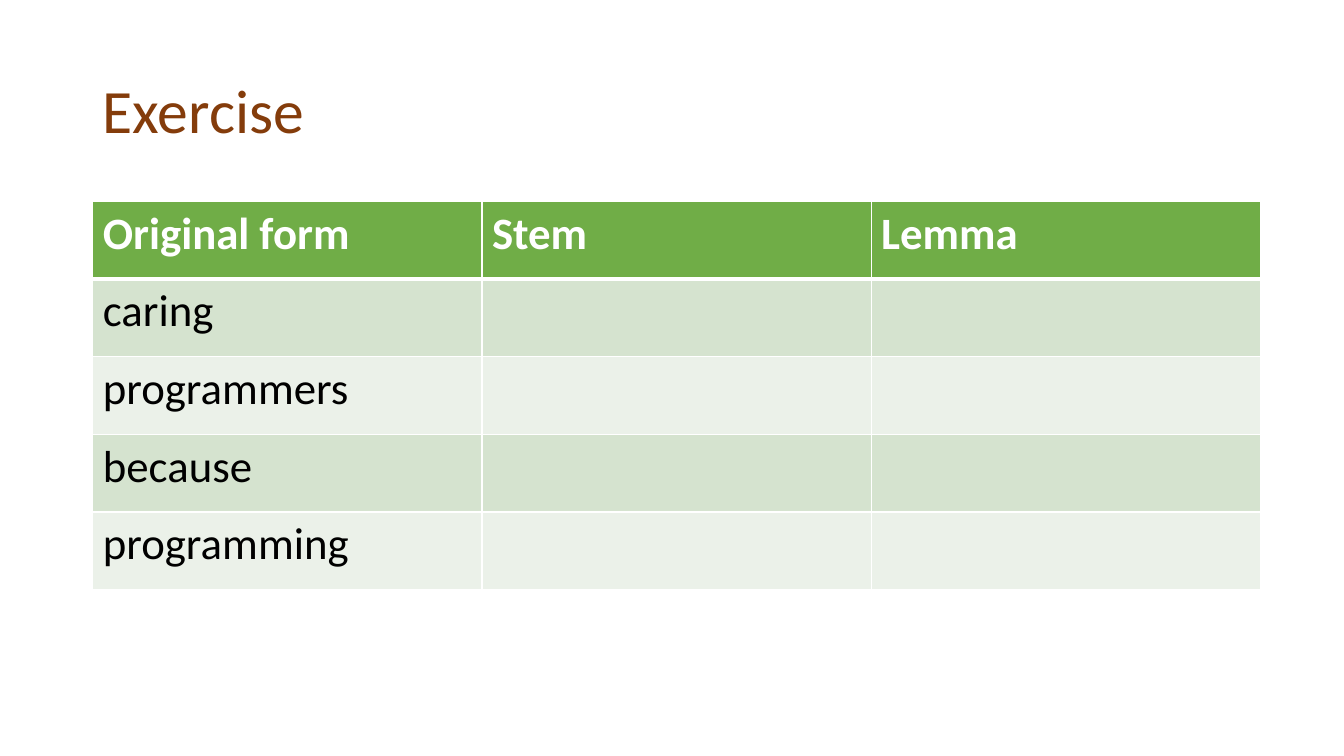
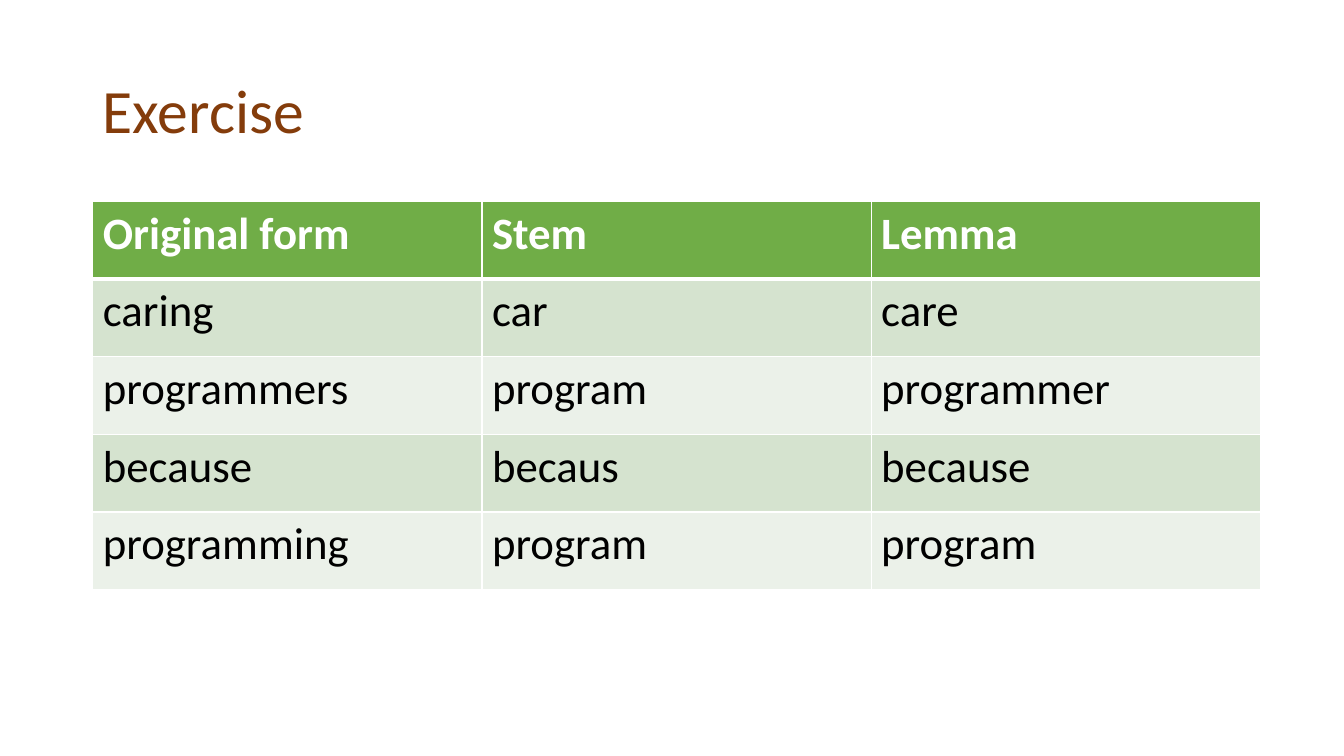
from dataclasses import dataclass

import pptx
import pptx.dml.color
import pptx.enum.text
import pptx.oxml.ns
import pptx.presentation
import pptx.slide
import pptx.table
import pptx.text.text
import pptx.util
from lxml import etree

Inches = pptx.util.Inches
Pt = pptx.util.Pt

# Shared style
FONT = "Calibri"
COLORS = {
    "title": "843C0B",
    "header": "70AD47",
    "band_dark": "D5E3CF",
    "band_light": "EBF1E9",
    "white": "FFFFFF",
    "black": "000000",
}
LEFT = Inches(0.92)
COLUMN_WIDTH = Inches(3.86)
ROW_HEIGHT = Inches(0.77)
THIN, THICK = 1, 3


@dataclass(frozen=True)
class WordForms:
    original: str
    stem: str
    lemma: str


@dataclass(frozen=True)
class Exercise:
    title: str
    show_answers: bool


HEADINGS = WordForms("Original form", "Stem", "Lemma")
WORDS = [
    WordForms("caring", "car", "care"),
    WordForms("programmers", "program", "programmer"),
    WordForms("because", "becaus", "because"),
    WordForms("programming", "program", "program"),
]
EXERCISES = [Exercise("Exercise", False), Exercise("Exercise", True)]


def rgb(color: str) -> pptx.dml.color.RGBColor:
    return pptx.dml.color.RGBColor.from_string(COLORS[color])


def add_run(paragraph: pptx.text.text._Paragraph, text: str, size: int,
            color: str, bold: bool = False) -> None:
    run = paragraph.add_run()
    run.text = text
    run.font.name = FONT
    run.font.size = Pt(size)
    run.font.bold = bold
    run.font.color.rgb = rgb(color)


def add_border(cell: pptx.table._Cell, side: str, width: float) -> None:
    qn = pptx.oxml.ns.qn
    properties = cell._tc.get_or_add_tcPr()
    line = etree.SubElement(properties, qn(f"a:ln{side}"), w=str(int(Pt(width))))
    fill = etree.SubElement(line, qn("a:solidFill"))
    etree.SubElement(fill, qn("a:srgbClr"), val=COLORS["white"])


def style_cell(cell: pptx.table._Cell, row: int) -> None:
    # Borders come before the fill in the cell properties
    widths = {
        "L": THIN,
        "R": THIN,
        "T": THICK if row == 1 else THIN,
        "B": THICK if row == 0 else THIN,
    }
    for side, width in widths.items():
        add_border(cell, side, width)
    band = "band_dark" if row % 2 else "band_light"
    cell.fill.solid()
    cell.fill.fore_color.rgb = rgb("header" if row == 0 else band)


def add_title(slide: pptx.slide.Slide, text: str) -> None:
    title = slide.shapes.title
    title.left, title.top = LEFT, Inches(0.4)
    title.width, title.height = Inches(11.5), Inches(1.45)
    title.text_frame.vertical_anchor = pptx.enum.text.MSO_ANCHOR.MIDDLE
    paragraph = title.text_frame.paragraphs[0]
    paragraph.alignment = pptx.enum.text.PP_ALIGN.LEFT
    paragraph.line_spacing = 0.9
    add_run(paragraph, text, 44, "title")


def add_word_table(slide: pptx.slide.Slide, show_answers: bool) -> None:
    rows = [HEADINGS, *WORDS]
    word_table = slide.shapes.add_table(
        len(rows), 3, LEFT, Inches(2), COLUMN_WIDTH * 3, ROW_HEIGHT * len(rows)
    ).table
    for column in word_table.columns:
        column.width = COLUMN_WIDTH
    for row, forms in enumerate(rows):
        word_table.rows[row].height = ROW_HEIGHT
        is_header = row == 0
        for column, text in enumerate((forms.original, forms.stem, forms.lemma)):
            cell = word_table.cell(row, column)
            style_cell(cell, row)
            if is_header or column == 0 or show_answers:
                add_run(cell.text_frame.paragraphs[0], text, 32,
                        "white" if is_header else "black", is_header)


def add_exercise(deck: pptx.presentation.Presentation, exercise: Exercise) -> None:
    title_only = deck.slide_layouts.get_by_name("Title Only")
    slide = deck.slides.add_slide(title_only)
    add_title(slide, exercise.title)
    add_word_table(slide, exercise.show_answers)


def main() -> None:
    deck = pptx.Presentation()
    deck.slide_width, deck.slide_height = Inches(13.33), Inches(7.5)
    for exercise in EXERCISES:
        add_exercise(deck, exercise)
    deck.save("out.pptx")


if __name__ == "__main__":
    main()
